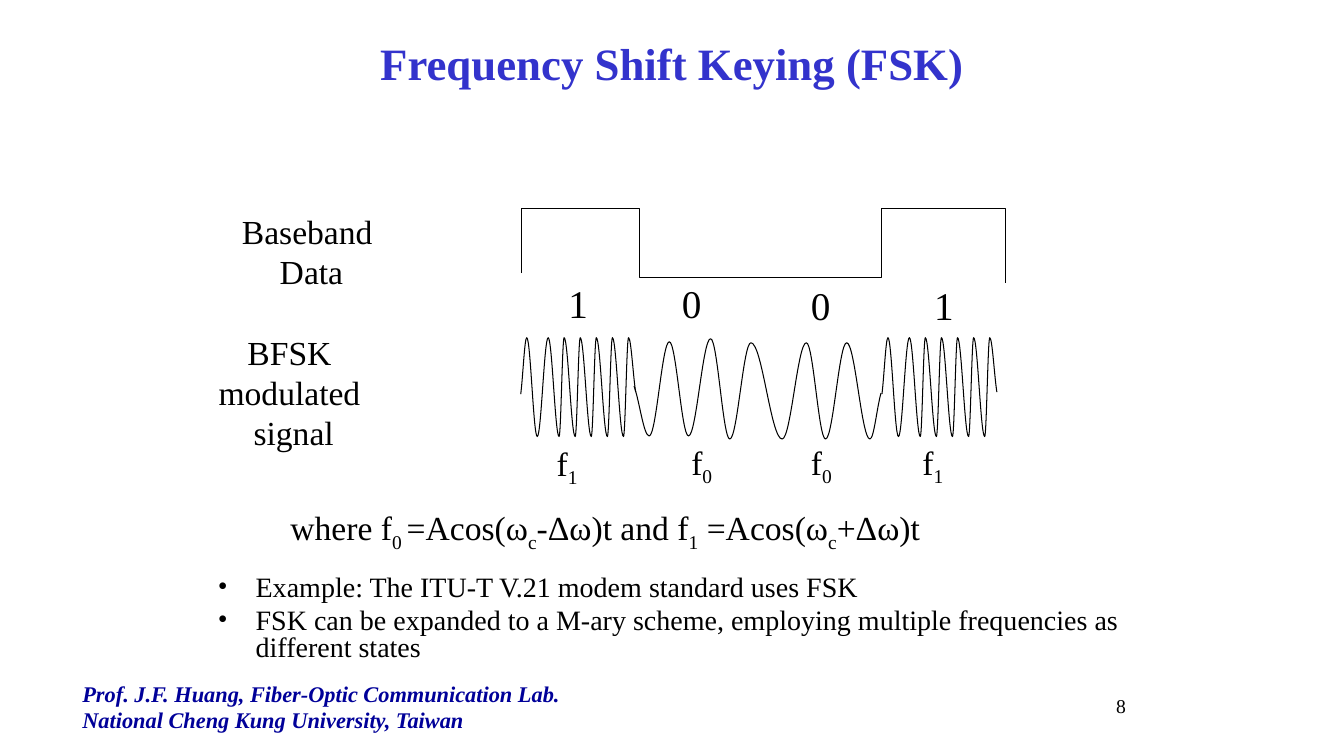
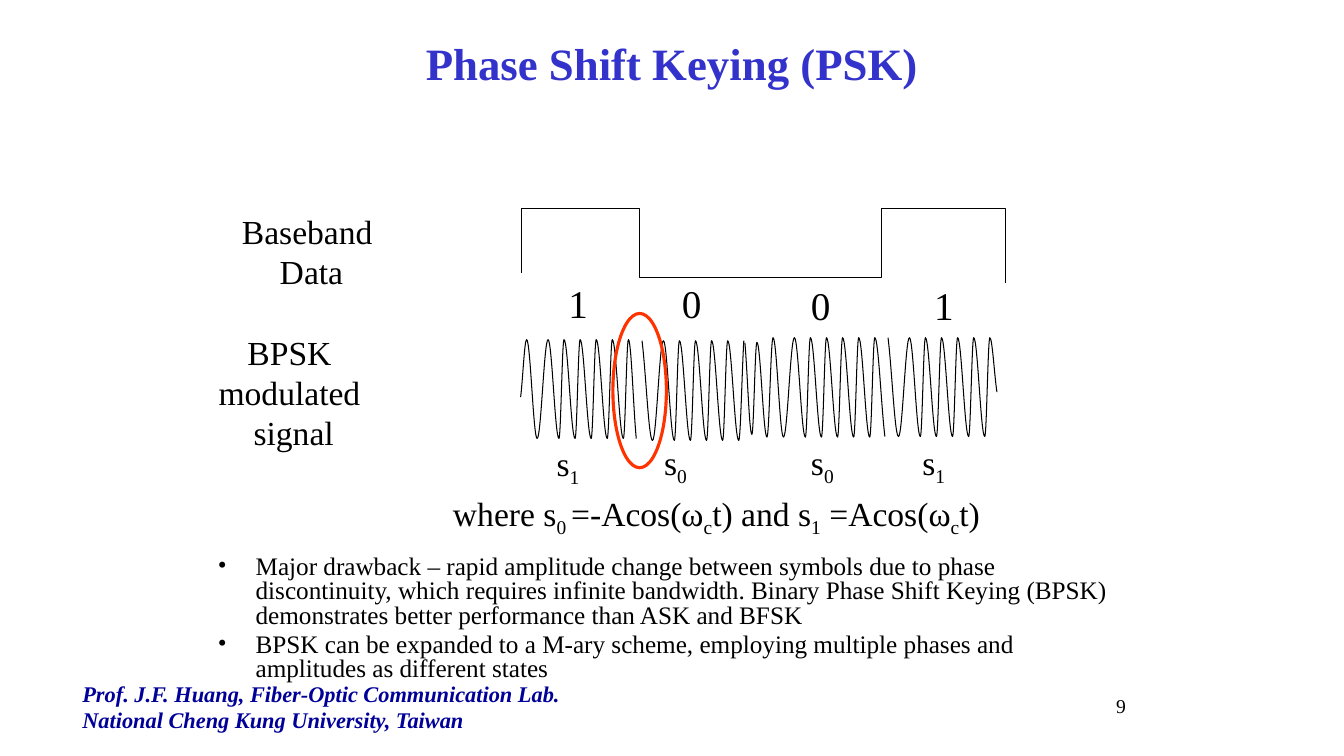
from dataclasses import dataclass
from itertools import accumulate, cycle, islice

from lxml.etree import SubElement as Sub
from pptx import Presentation
from pptx.dml.color import RGBColor as RGB
from pptx.enum.shapes import MSO_SHAPE as Shape
from pptx.enum.text import PP_ALIGN as Align
from pptx.oxml.ns import qn
from pptx.util import Pt


@dataclass(frozen=True)
class Theme:
    font: str = "Times New Roman"
    ink: str = "000000"
    head: str = "3333CC"
    foot: str = "000099"
    mark: str = "FF3300"
    title: int = 32
    bit: int = 28
    label: int = 24
    credit: int = 16
    page: int = 14
    thin: float = 0.75
    thick: float = 2.25


T = Theme()
CREDIT = ["Prof. J.F. Huang, Fiber-Optic Communication Lab.",
          "National Cheng Kung University, Taiwan"]

# Gaps in points between the turning points of a fast wave
LEAD = [7.5, 7.8, 7.8] + [3.6, 7.9] * 4
BURST = [4.3] + LEAD + [3.6]


class Deck:
    def __init__(self):
        self.prs = Presentation()
        self.prs.slide_width, self.prs.slide_height = Pt(960), Pt(540)

    def page(self, title, num):
        """Start a slide with the shared title, credit and page number."""
        self.slide = self.prs.slides.add_slide(self.prs.slide_layouts[6])
        self.text(CREDIT, (51.8, 486, 468, 42), size=T.credit, color=T.foot,
                  bold=True, italic=True, tight=True)
        self.text([str(num)], (648.7, 492, 162.7, 36), size=T.page,
                  align=Align.RIGHT)
        self.text([title], (48, 21.6, 864, 90), size=T.title, color=T.head,
                  bold=True, align=Align.CENTER)

    def text(self, paras, box, size=T.label, color=T.ink, bold=False,
             italic=False, align=Align.LEFT, wrap=True, tight=False,
             bullet=False):
        """Write paragraphs; "|" toggles subscript, a newline breaks a line."""
        frame = self.slide.shapes.add_textbox(*map(Pt, box)).text_frame
        frame.word_wrap = wrap
        for i, words in enumerate(paras):
            para = frame.add_paragraph() if i else frame.paragraphs[0]
            para.alignment = align
            if tight:
                para.line_spacing = 0.8
                para.space_before = Pt(size * 0.2)
            if bullet:
                props = para._p.get_or_add_pPr()
                props.set("marL", str(Pt(27)))
                props.set("indent", str(Pt(-27)))
                Sub(props, qn("a:buFont")).set("typeface", T.font)
                Sub(props, qn("a:buChar")).set("char", "•")
            for j, row in enumerate(words.split("\n")):
                if j:
                    para.add_line_break()
                for k, part in enumerate(row.split("|")):
                    run = para.add_run()
                    run.text = part
                    font = run.font
                    font.name, font.size = T.font, Pt(size)
                    font.bold, font.italic = bold, italic
                    font.color.rgb = RGB.from_string(color)
                    if k % 2:
                        font._element.set("baseline", "-25000")

    def style(self, shape, color, width):
        shape.shadow.inherit = False
        shape.fill.background()
        shape.line.color.rgb = RGB.from_string(color)
        shape.line.width = Pt(width)

    def trace(self, points):
        """Draw a thin open line through the points."""
        first, *rest = [(Pt(x), Pt(y)) for x, y in points]
        form = self.slide.shapes.build_freeform(*first)
        form.add_line_segments(rest, close=False)
        shape = form.convert_to_shape()
        self.style(shape, T.ink, T.thin)
        return shape

    def wave(self, x, gaps, head, pair, end):
        """Curve from the head heights on, swinging between the pair."""
        xs = accumulate(gaps, initial=x)
        swing = islice(cycle(pair), len(gaps) - len(head))
        shape = self.trace(zip(xs, [*head, *swing, end]))
        # Turn each straight step into one curve, flat at the turning points
        marks = list(shape._element.iter(qn("a:pt")))
        spots = [(int(m.get("x")), int(m.get("y"))) for m in marks]
        last = len(spots) - 1
        for i in range(1, last + 1):
            (x0, y0), (x1, y1) = spots[i - 1], spots[i]
            dx, dy = (x1 - x0) * 0.36, (y1 - y0) * 0.3
            step = marks[i].getparent()
            step.tag = qn("a:cubicBezTo")
            step.remove(marks[i])
            for px, py in ((x0 + dx, y0 + (dy if i == 1 else 0)),
                           (x1 - dx, y1 - (dy if i == last else 0)),
                           (x1, y1)):
                Sub(step, qn("a:pt"), x=str(round(px)), y=str(round(py)))

    def ring(self, box):
        oval = self.slide.shapes.add_shape(Shape.OVAL, *map(Pt, box))
        self.style(oval, T.mark, T.thick)

    def signal(self, name, sign, zero):
        """Draw the baseband pulse, its bits and the labels."""
        self.text(["Baseband \nData"], (165.2, 146.9, 114.5, 65.5),
                  align=Align.CENTER, wrap=False)
        self.text([name + " \nmodulated ", "signal"],
                  (148.6, 233.3, 122.4, 94.3), align=Align.CENTER, wrap=False)
        self.trace([(372.2, 195.1), (372.2, 149), (456.8, 149),
                    (456.8, 198.3), (630, 198.3), (630, 149),
                    (718.2, 149), (718.2, 202.3)])
        for bit, x, y in (("1", 398.9, 195.8), ("0", 480, 195.8),
                          ("0", 572.2, 197.3), ("1", 660.2, 197.3)):
            self.text([bit], (x, y, 28.8, 41), size=T.bit, wrap=False)
        for bit, x, y in (("1", 390.5, 312.5), ("0", zero, 311.8),
                          ("0", 572.2, 311.8), ("1", 651.8, 311.8)):
            self.text([f"{sign}|{bit}"], (x, y, 37, 36.7), wrap=False)

    def points(self, paras, box, size):
        self.text(paras, box, size=size, tight=True, bullet=True)


def fsk(deck):
    deck.page("Frequency Shift Keying (FSK)", 8)
    deck.points(["Example: The ITU-T V.21 modem standard uses FSK",
                 "FSK can be expanded to a M-ary scheme, employing multiple "
                 "frequencies as different states"],
                (148.5, 408.2, 663.1, 70.6), 20)
    deck.signal("BFSK", "f", 486.7)
    deck.text([" where f|0 |=Acos(ω|c|-Δω)t and f|1| =Acos(ω|c|+Δω)t"],
              (194.4, 358.6, 486.7, 36.7), wrap=False)
    # Fast waves for 1, one slow wave for both zeros
    for x in (372, 630):
        deck.wave(x, BURST + [5.1], [281.5], (241.2, 311.8), 280.1)
    slow = [10.8, 14.4, 13.7, 15.8, 13.7, 15.1, 22.3, 17.3, 13.7, 15.1,
            16.6, 7.9]
    deck.wave(452.9, slow, [275.8, 311.4, 244.1, 311.4, 241.9],
              (313.6, 244.8), 280.8)


def psk(deck):
    deck.page("Phase Shift Keying (PSK)", 9)
    deck.points(["Major drawback – rapid amplitude change between symbols due "
                 "to phase discontinuity, which requires infinite bandwidth. "
                 "Binary Phase Shift Keying (BPSK) demonstrates better "
                 "performance than ASK and BFSK",
                 "BPSK can be expanded to a M-ary scheme, employing multiple "
                 "phases and amplitudes as different states"],
                (148.5, 393.8, 663.1, 94.3), 18)
    deck.signal("BPSK", "s", 467.3)
    deck.text([" where s|0 |=-Acos(ω|c|t) and s|1| =Acos(ω|c|t)"],
              (310.5, 348.5, 412.6, 36.7), wrap=False)
    # One wave per bit, with a phase jump between them
    deck.wave(371.9, BURST + [5.6], [283.7], (242.6, 313.2), 313.2)
    deck.wave(458.6, LEAD + [3.6], [], (243.4, 314.6), 243.4)
    deck.wave(532.1, [5, 3.6, 7.2, 4.3] + LEAD + [3.6, 7.2],
              [244.8, 310.3, 244.5], (312.2, 241.2), 311.8)
    deck.wave(634.3, LEAD + [3.6, 5.1], [], (241.2, 311.8), 280.1)
    deck.ring((437.8, 223.9, 38.2, 110.2))


def main():
    deck = Deck()
    fsk(deck)
    psk(deck)
    deck.prs.save("out.pptx")


if __name__ == "__main__":
    main()
